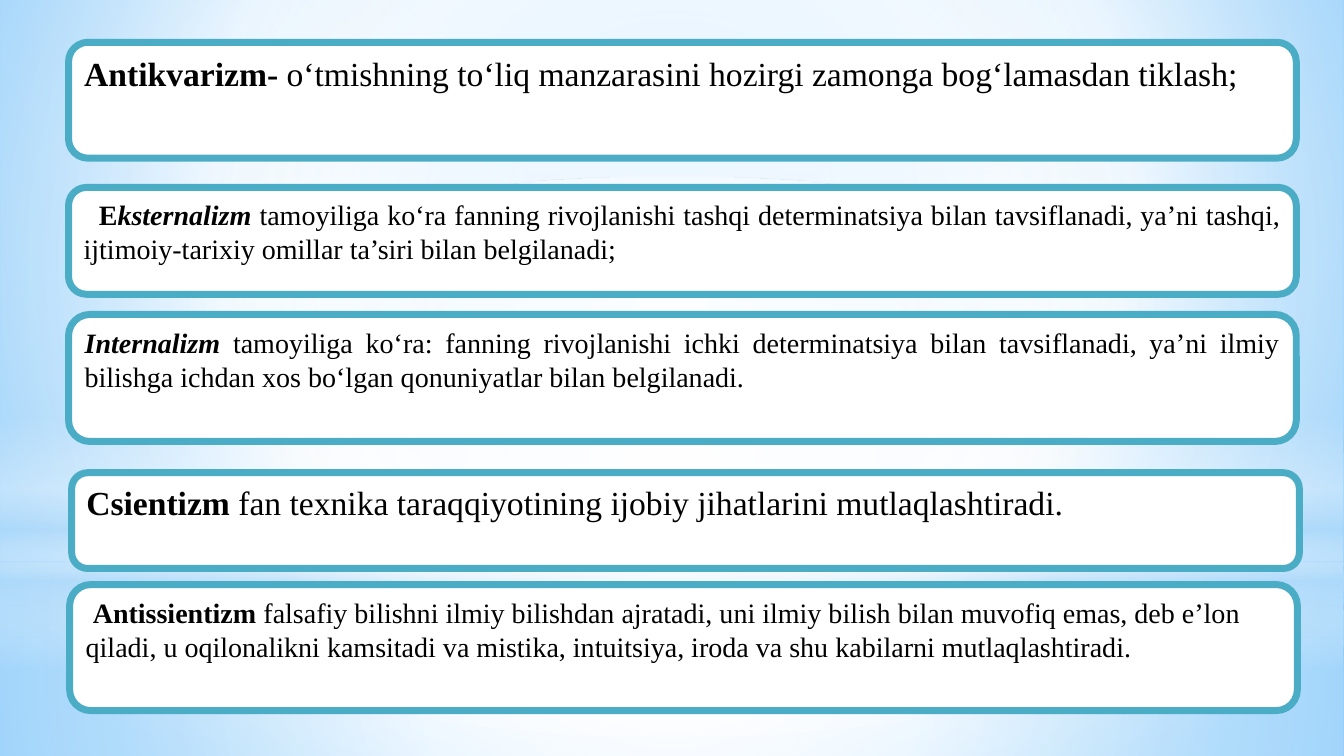
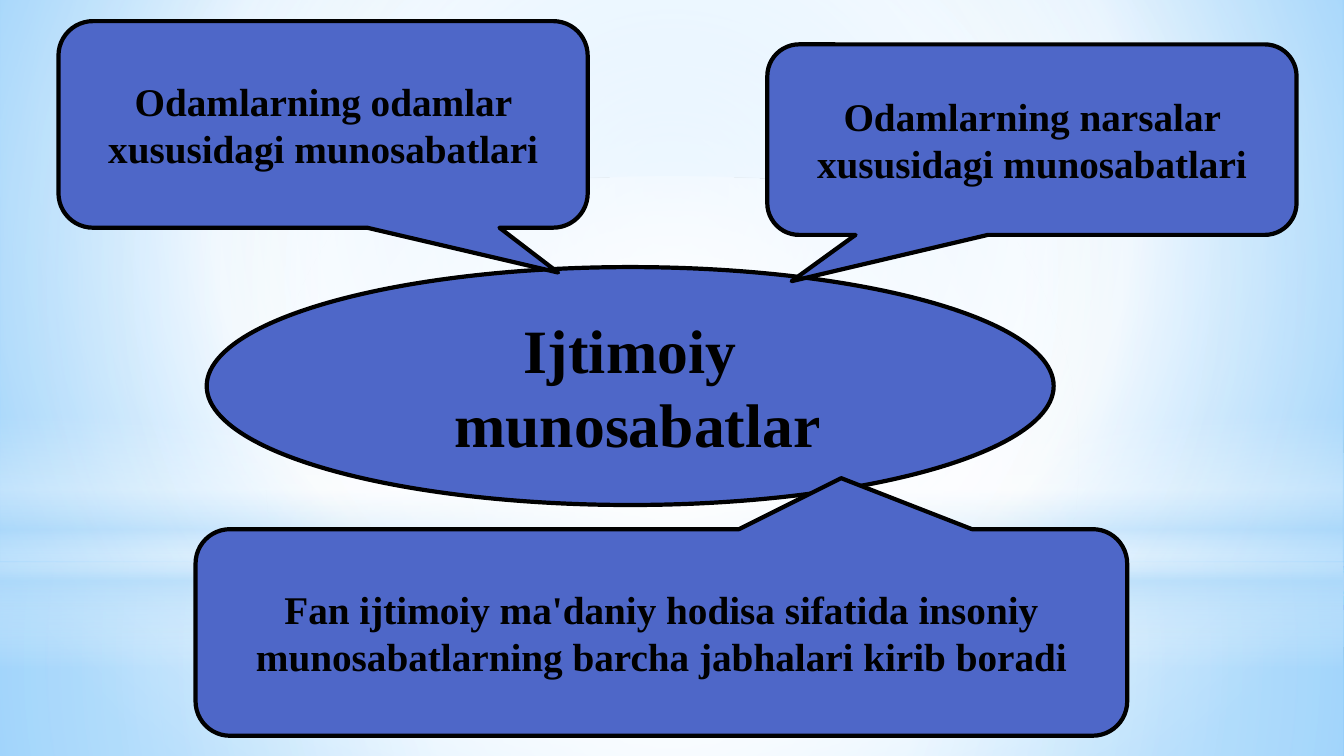
import pptx
import pptx.dml.color
import pptx.enum.shapes
import pptx.enum.text
import pptx.oxml
import pptx.oxml.ns
import pptx.util

RGBColor = pptx.dml.color.RGBColor
SHAPE = pptx.enum.shapes.MSO_SHAPE
ALIGN = pptx.enum.text.PP_ALIGN
ANCHOR = pptx.enum.text.MSO_ANCHOR

WHITE = RGBColor(0xFF, 0xFF, 0xFF)
BLACK = RGBColor(0, 0, 0)
TEAL = RGBColor(0x4B, 0xAC, 0xC6)
INDIGO = RGBColor(0x4E, 0x67, 0xC8)
PALE_BLUE = RGBColor(0xB4, 0xDC, 0xFA)
SKY = RGBColor(0x9E, 0xD5, 0xFF)
DEEP_SKY = RGBColor(0x5B, 0xB9, 0xFF)

FONT = "Times New Roman"
WIDTH = pptx.util.Inches(13.33)
HEIGHT = pptx.util.Inches(7.5)
FULL = (0, 0, 100, 100)
CORNER = 0.167
CENTRE = '<a:path path="circle"><a:fillToRect l="50000" t="50000" r="50000" b="50000"/></a:path>'
BACKDROP = '<a:path path="circle"><a:fillToRect l="20000" t="10000" r="20000" b="60000"/></a:path>'
DOWNWARD = '<a:lin ang="5400000" scaled="0"/>'

BACKDROP_STOPS = [(0, SKY, 100), (60, WHITE, 100), (100, DEEP_SKY, 100)]
LIGHTS = [
    (SHAPE.RECTANGLE, (0, 74.4, 100, 25.6), CENTRE,
     [(0, WHITE, 91), (37, WHITE, 76), (100, PALE_BLUE, 79)]),
    (SHAPE.RECTANGLE, (0, 0, 100, 74.4), CENTRE,
     [(0, WHITE, 89), (48, WHITE, 62), (100, PALE_BLUE, 79)]),
    (SHAPE.RECTANGLE, (0, 54.93, 100, 33.33), DOWNWARD,
     [(0, WHITE, 0), (29, WHITE, 30), (45, PALE_BLUE, 40),
      (55, WHITE, 26), (65, PALE_BLUE, 60), (100, WHITE, 0)]),
    (SHAPE.OVAL, (0, 23.33, 100, 74.4), CENTRE, [(0, WHITE, 100), (56, WHITE, 0)]),
]

CARD_WIDTH = 91.35
CARDS = [
    (5.1, 5.6, 15.33, 24, ALIGN.JUSTIFY, 0,
     [("Antikvarizm-", True, False),
      (" o‘tmishning to‘liq manzarasini hozirgi zamonga bog‘lamasdan tiklash;", False, False)]),
    (5.1, 24.8, 14.13, 20, ALIGN.JUSTIFY, 0.15,
     [("E", True, False), ("ksternalizm ", True, True),
      ("tamoyiliga ko‘ra fanning rivojlanishi tashqi determinatsiya bilan tavsiflanadi, "
       "ya’ni tashqi, ijtimoiy-tarixiy omillar ta’siri bilan belgilanadi;", False, False)]),
    (5.1, 41.6, 16.8, 20, ALIGN.JUSTIFY, 0,
     [("Internalizm", True, True),
      (" tamoyiliga ko‘ra: fanning rivojlanishi ichki determinatsiya bilan tavsiflanadi, "
       "ya’ni ilmiy bilishga ichdan xos bo‘lgan qonuniyatlar bilan belgilanadi.", False, False)]),
    (5.33, 62.53, 12.67, 24, ALIGN.JUSTIFY, 0,
     [("Csientizm", True, False),
      (" fan texnika taraqqiyotining ijobiy jihatlarini mutlaqlashtiradi.", False, False)]),
    (5.18, 77.33, 16.67, 20, ALIGN.LEFT, 0.07,
     [("Antissientizm", True, False),
      (" falsafiy bilishni ilmiy bilishdan ajratadi, uni ilmiy bilish bilan muvofiq emas, "
       "deb e’lon qiladi, u oqilonalikni kamsitadi va mistika, intuitsiya, iroda va shu "
       "kabilarni mutlaqlashtiradi.", False, False)]),
]

CALLOUTS = [
    ((57.09, 5.87, 39.38, 25.2), (-0.454, 0.743),
     "Оdаmlаrning nаrsаlаr хususidаgi munоsаbаtlаri"),
    ((14.55, 70, 69.32, 27.33), (0.193, -0.747),
     "Fаn ijtimоiy mа'dаniy hоdisа sifаtidа insоniy munоsаbаtlаrning bаrchа jаbhаlаri kirib bоrаdi"),
    ((4.35, 2.8, 39.38, 27.33), (0.444, 0.717),
     "Оdаmlаrning оdаmlаr хususidаgi munоsаbаtlаri"),
]


def part(box, left, top, width, height):
    """Return the box at the given percentages of another box."""
    return (box[0] + box[2] * left / 100, box[1] + box[3] * top / 100,
            box[2] * width / 100, box[3] * height / 100)


def add_box(slide, kind, box, fill, line=None, line_width=0):
    """Add a flat shape whose box is in percentages of the slide."""
    left, top, width, height = box
    shape = slide.shapes.add_shape(
        kind, int(WIDTH * left / 100), int(HEIGHT * top / 100),
        int(WIDTH * width / 100), int(HEIGHT * height / 100))
    shape.shadow.inherit = False
    shape.fill.solid()
    shape.fill.fore_color.rgb = fill
    if line is None:
        shape.line.fill.background()
    else:
        shape.line.color.rgb = line
        shape.line.width = pptx.util.Pt(line_width)
    return shape


def set_gradient(properties, stops, direction):
    """Replace the solid fill of a properties element by a gradient."""
    stop_xml = "".join(
        f'<a:gs pos="{position * 1000}"><a:srgbClr val="{color}">'
        f'<a:alpha val="{opacity * 1000}"/></a:srgbClr></a:gs>'
        for position, color, opacity in stops)
    gradient = pptx.oxml.parse_xml(
        f'<a:gradFill {pptx.oxml.ns.nsdecls("a")} rotWithShape="1">'
        f'<a:gsLst>{stop_xml}</a:gsLst>{direction}</a:gradFill>')
    properties.replace(properties.find(pptx.oxml.ns.qn("a:solidFill")), gradient)


def write_paragraph(paragraph, runs, size, alignment, indent=0):
    """Write runs of (text, bold, italic) with an optional first-line indent."""
    paragraph.alignment = alignment
    if indent:
        paragraph._p.get_or_add_pPr().set("indent", str(pptx.util.Inches(indent)))
    for text, bold, italic in runs:
        run = paragraph.add_run()
        run.text = text
        run.font.name = FONT
        run.font.size = pptx.util.Pt(size)
        run.font.bold = bold
        run.font.italic = italic
        run.font.color.rgb = BLACK


def build_master(presentation, slide):
    """Give the master its sky background and soft lights."""
    master = presentation.slide_master
    master.background.fill.solid()
    set_gradient(master._element.find(".//" + pptx.oxml.ns.qn("p:bgPr")), BACKDROP_STOPS, BACKDROP)
    for number, (kind, box, direction, stops) in enumerate(LIGHTS):
        light = add_box(slide, kind, box, WHITE)
        set_gradient(light._element.spPr, stops, direction)
        light._element.nvSpPr.cNvPr.set("id", str(100 + number))
        master.shapes._spTree.append(light._element)


def build_cards(slide, box):
    """Stack the outlined definition cards."""
    for left, top, height, size, alignment, indent, runs in CARDS:
        card = add_box(slide, SHAPE.ROUNDED_RECTANGLE,
                       part(box, left, top, CARD_WIDTH, height), WHITE, TEAL, 5)
        card.adjustments[0] = CORNER
        card.text_frame.word_wrap = True
        card.text_frame.vertical_anchor = ANCHOR.TOP
        write_paragraph(card.text_frame.paragraphs[0], runs, size, alignment, indent)


def build_relations(slide, box):
    """Place the central ellipse and the callouts pointing at it."""
    ellipse = add_box(slide, SHAPE.OVAL, part(box, 15.38, 35.33, 63.02, 31.47), INDIGO, BLACK, 3)
    frame = ellipse.text_frame
    frame.word_wrap = False
    frame.vertical_anchor = ANCHOR.MIDDLE
    write_paragraph(frame.paragraphs[0], [("Ijtimоiy", True, False)], 44, ALIGN.CENTER)
    write_paragraph(frame.add_paragraph(), [("munоsаbаtlаr", True, False)], 44, ALIGN.CENTER, 0.15)
    for place, (tip_x, tip_y), text in CALLOUTS:
        callout = add_box(slide, SHAPE.ROUNDED_RECTANGULAR_CALLOUT, part(box, *place), INDIGO, BLACK, 3)
        for index, value in enumerate((tip_x, tip_y, CORNER)):
            callout.adjustments[index] = value
        callout.text_frame.word_wrap = True
        callout.text_frame.vertical_anchor = ANCHOR.MIDDLE
        write_paragraph(callout.text_frame.paragraphs[0], [(text, True, False)], 28, ALIGN.CENTER)


def main():
    """Build and save the presentation."""
    presentation = pptx.Presentation()
    presentation.slide_width = WIDTH
    presentation.slide_height = HEIGHT
    blank = presentation.slide_layouts[6]
    cards_slide = presentation.slides.add_slide(blank)
    build_master(presentation, cards_slide)
    build_cards(cards_slide, FULL)
    build_relations(presentation.slides.add_slide(blank), FULL)
    presentation.save("out.pptx")


if __name__ == "__main__":
    main()
